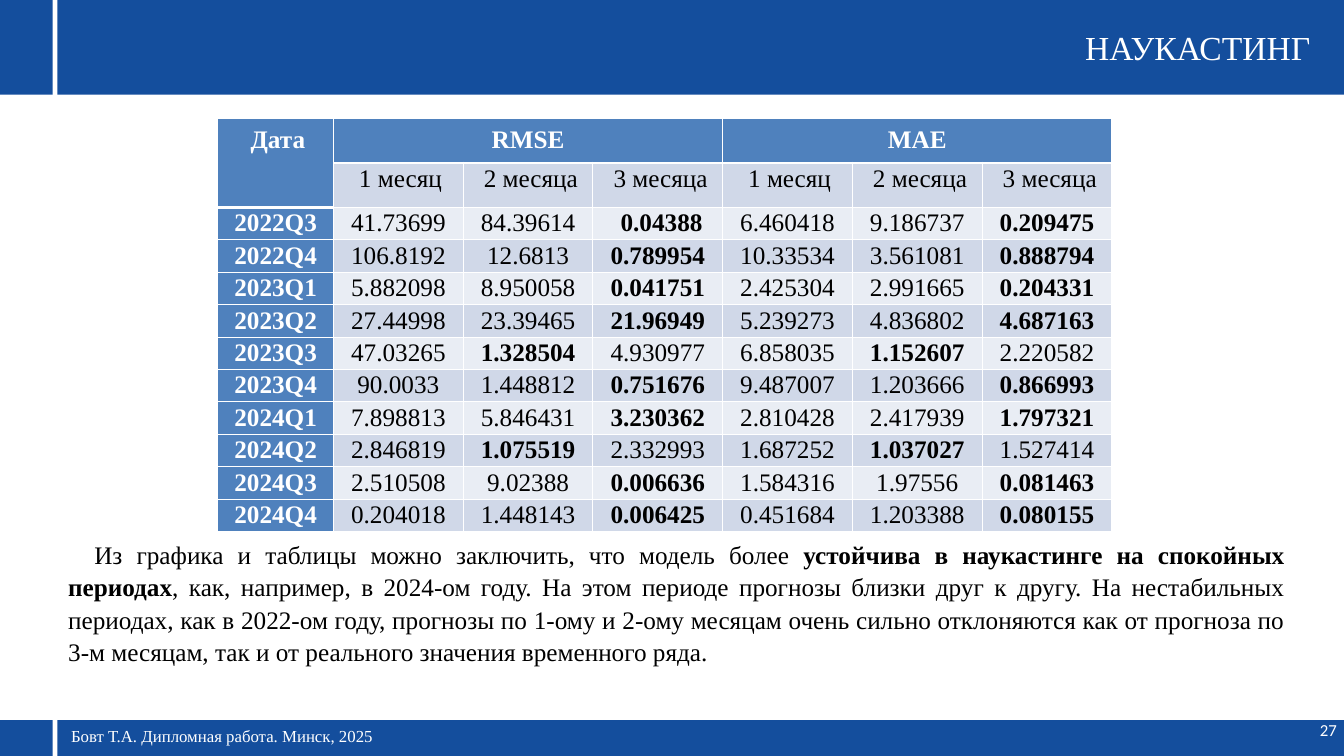
from dataclasses import dataclass
from typing import Optional

from pptx import Presentation
from pptx.dml.color import RGBColor
from pptx.enum.shapes import MSO_SHAPE
from pptx.enum.text import MSO_ANCHOR, MSO_AUTO_SIZE, PP_ALIGN
from pptx.oxml import parse_xml
from pptx.oxml.ns import nsdecls
from pptx.util import Pt

COLORS = {
    "bar": "144E9D",
    "header": "4F81BD",
    "dark_band": "D0D8E8",
    "light_band": "E9EDF4",
    "white": "FFFFFF",
    "black": "000000",
}
SLIDE_WIDTH, SLIDE_HEIGHT = 1440, 810
SERIF = "Times New Roman"


@dataclass
class Box:
    left: float
    top: float
    width: float
    height: float

    def lengths(self):
        return Pt(self.left), Pt(self.top), Pt(self.width), Pt(self.height)


@dataclass
class Quarter:
    name: str
    rmse: tuple[str, str, str]
    mae: tuple[str, str, str]


BARS = [
    (Box(0, 0, SLIDE_WIDTH, 101.5), "bar"),
    (Box(0, 771.5, SLIDE_WIDTH, 38.5), "bar"),
    (Box(56.5, 0, 5, SLIDE_HEIGHT), "white"),
]
QUARTERS = [
    Quarter("2022Q3", ("41.73699", "84.39614", "0.04388"), ("6.460418", "9.186737", "0.209475")),
    Quarter("2022Q4", ("106.8192", "12.6813", "0.789954"), ("10.33534", "3.561081", "0.888794")),
    Quarter("2023Q1", ("5.882098", "8.950058", "0.041751"), ("2.425304", "2.991665", "0.204331")),
    Quarter("2023Q2", ("27.44998", "23.39465", "21.96949"), ("5.239273", "4.836802", "4.687163")),
    Quarter("2023Q3", ("47.03265", "1.328504", "4.930977"), ("6.858035", "1.152607", "2.220582")),
    Quarter("2023Q4", ("90.0033", "1.448812", "0.751676"), ("9.487007", "1.203666", "0.866993")),
    Quarter("2024Q1", ("7.898813", "5.846431", "3.230362"), ("2.810428", "2.417939", "1.797321")),
    Quarter("2024Q2", ("2.846819", "1.075519", "2.332993"), ("1.687252", "1.037027", "1.527414")),
    Quarter("2024Q3", ("2.510508", "9.02388", "0.006636"), ("1.584316", "1.97556", "0.081463")),
    Quarter("2024Q4", ("0.204018", "1.448143", "0.006425"), ("0.451684", "1.203388", "0.080155")),
]
MONTHS = [("1 месяц", 4.5), ("2 месяца", 6), ("3 месяца", 6)]
CONCLUSION = [
    ("Из графика и таблицы можно заключить, что модель более ", False),
    ("устойчива в наукастинге на спокойных периодах", True),
    (", как, например, в 2024-ом году. На этом периоде прогнозы близки друг к другу. "
     "На нестабильных периодах, как в 2022-ом году, прогнозы по 1-ому и 2-ому месяцам "
     "очень сильно отклоняются как от прогноза по 3-м месяцам, так и от реального "
     "значения временного ряда.", False),
]


def write(paragraph, text: str, *, size: float = 27, color: str = "black", font: str = SERIF,
          bold: bool = False, align: PP_ALIGN = PP_ALIGN.LEFT,
          spacing: Optional[float] = None, margin: float = 0) -> None:
    """Add one formatted run to the paragraph."""
    paragraph.alignment = align
    if spacing is not None:
        paragraph.line_spacing = spacing
    if margin:
        paragraph._p.get_or_add_pPr().set("marL", str(Pt(margin)))
    run = paragraph.add_run()
    run.text = text
    run.font.size, run.font.name, run.font.bold = Pt(size), font, bold
    run.font.color.rgb = RGBColor.from_string(COLORS[color])


def set_frame(shape, box: Box, inset_x: float = 0, inset_y: float = 0):
    """Place a text shape and return its first paragraph."""
    shape.left, shape.top, shape.width, shape.height = box.lengths()
    frame = shape.text_frame
    frame.word_wrap = True
    frame.auto_size = MSO_AUTO_SIZE.SHAPE_TO_FIT_TEXT
    frame.vertical_anchor = MSO_ANCHOR.TOP
    frame.margin_left = frame.margin_right = Pt(inset_x)
    frame.margin_top = frame.margin_bottom = Pt(inset_y)
    return frame.paragraphs[0]


def add_bar(slide, box: Box, color: str):
    bar = slide.shapes.add_shape(MSO_SHAPE.RECTANGLE, *box.lengths())
    bar.shadow.inherit = False
    bar.fill.solid()
    bar.fill.fore_color.rgb = RGBColor.from_string(COLORS[color])
    bar.line.fill.background()
    return bar


def style_cell(cell, fill: str, top: float = 1, bottom: float = 1,
               inset_x: float = 11, inset_y: float = 0) -> None:
    """Draw white borders, then the fill and the insets."""
    cell.margin_left = cell.margin_right = Pt(inset_x)
    cell.margin_top = cell.margin_bottom = Pt(inset_y)
    properties = cell._tc.get_or_add_tcPr()
    for side, width in (("L", 1), ("R", 1), ("T", top), ("B", bottom)):
        properties.append(parse_xml(
            f'<a:ln{side} {nsdecls("a")} w="{Pt(width)}"><a:solidFill>'
            f'<a:srgbClr val="{COLORS["white"]}"/></a:solidFill></a:ln{side}>'))
    cell.fill.solid()
    cell.fill.fore_color.rgb = RGBColor.from_string(COLORS[fill])


def write_cell(cell, text: str, **text_format) -> None:
    write(cell.text_frame.paragraphs[0], text, align=PP_ALIGN.CENTER, spacing=1.07, **text_format)


def add_error_table(slide) -> None:
    box = Box(233.3, 126.7, 958, 440)
    table = slide.shapes.add_table(len(QUARTERS) + 2, 7, *box.lengths()).table
    for index, column in enumerate(table.columns):
        column.width = Pt(139 if index else 124)
    for index, row in enumerate(table.rows):
        row.height = Pt((46, 47)[index] if index < 2 else 34.7)

    # Two header rows
    for column in range(7):
        style_cell(table.cell(0, column), "header", bottom=3, inset_x=12.25, inset_y=6.5)
        if column:
            style_cell(table.cell(1, column), "dark_band", top=3)
            label, margin = MONTHS[(column - 1) % 3]
            write_cell(table.cell(1, column), label, margin=margin)
    style_cell(table.cell(1, 0), "header", bottom=3)
    table.cell(0, 0).merge(table.cell(1, 0))
    write_cell(table.cell(0, 0), "Дата", color="white", bold=True, margin=5)
    for first, metric in ((1, "RMSE"), (4, "MAE")):
        table.cell(0, first).merge(table.cell(0, first + 2))
        write_cell(table.cell(0, first), metric, color="white", bold=True)

    # One row per quarter, the smallest error of each metric in bold
    for row, quarter in enumerate(QUARTERS, start=2):
        style_cell(table.cell(row, 0), "header", top=3 if row == 2 else 1)
        write_cell(table.cell(row, 0), quarter.name, color="white", bold=True)
        for first, errors in ((1, quarter.rmse), (4, quarter.mae)):
            best = min(errors, key=float)
            for column, error in enumerate(errors, start=first):
                cell = table.cell(row, column)
                style_cell(cell, "dark_band" if row % 2 else "light_band")
                write_cell(cell, error, bold=error == best, margin=8 if error == "0.04388" else 0)


def main() -> None:
    presentation = Presentation()
    presentation.slide_width, presentation.slide_height = Pt(SLIDE_WIDTH), Pt(SLIDE_HEIGHT)
    slide = presentation.slides.add_slide(presentation.slide_layouts[1])
    title, conclusion = slide.shapes.title, slide.placeholders[1]

    # Bars, kept behind the title
    for box, color in BARS:
        title.element.addprevious(add_bar(slide, box, color).element)

    # Title
    write(set_frame(title, Box(608.5, 29, 795.5, 44)), "НАУКАСТИНГ",
          size=36, color="white", align=PP_ALIGN.RIGHT)

    # Page number and footer
    number_box, footer_box = Box(1123, 771.5, 309.5, 21.6), Box(69, 774.5, 722, 28.8)
    page_number = slide.shapes.add_textbox(*number_box.lengths())
    write(set_frame(page_number, number_box), "27", size=18, color="white", font="Calibri",
          align=PP_ALIGN.RIGHT, spacing=Pt(21.6))
    footer = slide.shapes.add_textbox(*footer_box.lengths())
    write(set_frame(footer, footer_box, 7.2, 3.6), "Бовт Т.А. Дипломная работа. Минск, 2025",
          size=18, color="white", spacing=Pt(21.6))

    add_error_table(slide)

    # Conclusion
    paragraph = set_frame(conclusion, Box(41.8, 571.7, 1341.4, 145.5), 7.2, 3.6)
    properties = paragraph._p.get_or_add_pPr()
    properties.set("indent", str(Pt(28)))
    properties.append(parse_xml(f'<a:buNone {nsdecls("a")}/>'))
    paragraph.space_before, paragraph.space_after = Pt(0), Pt(14)
    for text, bold in CONCLUSION:
        write(paragraph, text, bold=bold, align=PP_ALIGN.JUSTIFY, spacing=1.07, margin=24)

    presentation.save("out.pptx")


if __name__ == "__main__":
    main()
